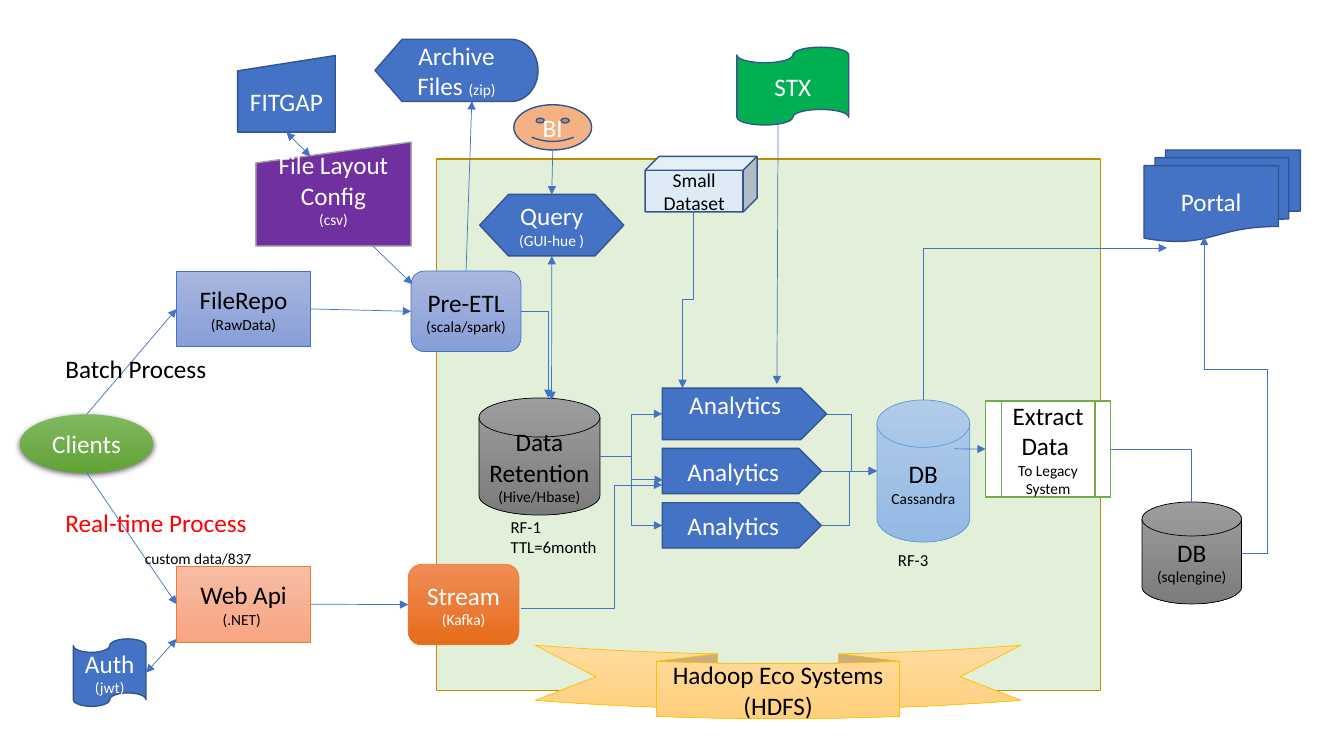
from lxml.etree import SubElement
from pptx import Presentation
from pptx.dml.color import RGBColor as RGB
from pptx.enum.shapes import MSO_CONNECTOR as MC, MSO_SHAPE as MS
from pptx.enum.text import MSO_ANCHOR, PP_ALIGN
from pptx.oxml.ns import qn
from pptx.util import Cm, Pt

WHITE, BLACK, RED = RGB(255, 255, 255), RGB(0, 0, 0), RGB(255, 0, 0)
BLUE, NAVY, PURPLE = RGB(0x44, 0x72, 0xC4), RGB(0x32, 0x54, 0x91), RGB(0x70, 0x30, 0xA0)
GREY, GREEN, LIME = RGB(0xA5, 0xA5, 0xA5), RGB(0, 0xB0, 0x50), RGB(0x70, 0xAD, 0x47)
MINT, OCHRE, PEACH = RGB(0xE2, 0xF0, 0xD9), RGB(0xBD, 0x8E, 0), RGB(0xF4, 0xB1, 0x83)
ORANGE, AMBER = RGB(0xED, 0x7D, 0x31), RGB(0xFF, 0xC0, 0)
SKY, ICE = RGB(0x5B, 0x9B, 0xD5), RGB(0xDE, 0xEB, 0xF7)
LEAF_GRAD = [RGB(0x81, 0xB8, 0x61), RGB(0x62, 0xA3, 0x36)]
BLUE_GRAD = [RGB(0xA8, 0xB7, 0xDF), RGB(0x88, 0x9E, 0xD7)]
SALMON_GRAD = [RGB(0xF7, 0xBD, 0xA5), RGB(0xF8, 0xA5, 0x82)]
ORANGE_GRAD = [RGB(0xF1, 0x8C, 0x57), RGB(0xE5, 0x6C, 0x19)]
GREY_GRAD = [RGB(0x9D, 0x9D, 0x9D), RGB(0x7C, 0x7C, 0x7C)]
SKY_GRAD = [RGB(0xB1, 0xCB, 0xE9), RGB(0x93, 0xB9, 0xE4)]
GOLD_GRAD = [RGB(0xFF, 0xDB, 0x9E), RGB(0xFF, 0xD0, 0x7C)]

STYLES = {
    "client": (LEAF_GRAD, None, WHITE),
    "batch": (BLUE_GRAD, BLUE, BLACK),
    "api": (SALMON_GRAD, ORANGE, BLACK),
    "stream": (ORANGE_GRAD, ORANGE, WHITE),
    "store": (GREY_GRAD, BLACK, BLACK),
    "db": (SKY_GRAD, SKY, BLACK),
    "banner": (GOLD_GRAD, AMBER, BLACK),
    "panel": (MINT, OCHRE, BLACK),
    "solid": (BLUE, NAVY, WHITE),
    "config": (PURPLE, GREY, WHITE),
    "stats": (GREEN, NAVY, WHITE),
    "extract": (WHITE, LIME, BLACK),
    "face": (PEACH, NAVY, WHITE),
    "dataset": (ICE, NAVY, BLACK),
}

NODES = {
    "panel": (MS.RECTANGLE, "panel", (11, 4.01, 16.74, 13.39), ""),
    "clients": (MS.OVAL, "client", (0.51, 10.44, 3.35, 1.47), "Clients"),
    "repo": (MS.RECTANGLE, "batch", (4.45, 6.83, 3.38, 1.91), "FileRepo\n|(RawData)"),
    "api": (MS.RECTANGLE, "api", (4.45, 14.27, 3.38, 1.91), "Web Api\n|(.NET) "),
    "etl": (MS.ROUNDED_RECTANGLE, "batch", (10.36, 6.83, 2.77, 2.03), "Pre-ETL\n|(scala/spark)"),
    "stream": (MS.ROUNDED_RECTANGLE, "stream", (10.29, 14.22, 2.79, 2.03), "Stream\n|(Kafka)"),
    "retention": (MS.FLOWCHART_MAGNETIC_DISK, "store", (12.07, 10.03, 3.05, 2.95),
                  "Data Retention\n|(Hive/Hbase)"),
    "analytics1": (MS.PENTAGON, "solid", (16.69, 9.78, 4.14, 1.3), "Analytics "),
    "analytics2": (MS.PENTAGON, "solid", (16.69, 11.3, 4.01, 1.14), "Analytics "),
    "analytics3": (MS.PENTAGON, "solid", (16.69, 12.67, 4.01, 1.14), "Analytics "),
    "config": (MS.FLOWCHART_MANUAL_INPUT, "config", (6.45, 3.58, 3.91, 2.62),
               "File Layout\nConfig\n|(csv)"),
    "stats": (MS.FLOWCHART_PUNCHED_TAPE, "stats", (18.57, 1.19, 2.82, 1.96), "STX"),
    "db": (MS.FLOWCHART_MAGNETIC_DISK, "db", (22.1, 10.08, 2.34, 3.58), "DB\n|Cassandra"),
    "extract": (MS.FLOWCHART_PREDEFINED_PROCESS, "extract", (24.84, 10.11, 3.15, 2.41),
                "Extract\nData \n|To Legacy System"),
    "legacy": (MS.FLOWCHART_MAGNETIC_DISK, "store", (28.78, 12.65, 2.51, 2.57), "DB\n|(sqlengine)"),
    "portal": (MS.FLOWCHART_MULTIDOCUMENT, "solid", (28.83, 3.78, 3.94, 2.31), "Portal"),
    "banner": (MS.CURVED_DOWN_RIBBON, "banner", (13.49, 16.26, 12.24, 1.85),
               "Hadoop Eco Systems\n(HDFS)"),
    "query": (MS.FLOWCHART_PREPARATION, "solid", (12.09, 4.9, 3.63, 1.55), "Query\n|(GUI-hue )"),
    "bi": (MS.SMILEY_FACE, "face", (12.95, 2.64, 1.96, 1.14), "BI"),
    "auth": (MS.FLOWCHART_PUNCHED_TAPE, "solid", (1.85, 16.1, 1.83, 1.7), "Auth\n|(jwt)"),
    "archive": (MS.FLOWCHART_DISPLAY, "solid", (9.45, 0.99, 4.11, 1.57), "Archive\nFiles |(zip)"),
    "dataset": (MS.CUBE, "dataset", (16.26, 3.94, 2.82, 1.4), "Small\nDataset"),
    "fitgap": (MS.FLOWCHART_MANUAL_INPUT, "solid", (5.99, 1.4, 2.46, 1.93), "FITGAP"),
}
SIZES = {"dataset": 14}
BOTTOM_MARGINS = {"config": 0.9, "analytics1": 0.6}

STRAIGHT = [
    ("clients.t", "repo.l"), ("clients.b", "api.l"), ("repo.r", "etl.l"),
    ((9.4, 6.2), (10.39, 7.16)), ("api.r", "stream.l"), ((19.61, 2.72), (19.58, 9.68)),
    ((24.05, 11.31), "extract.l"), ("bi.b", "query.t"), ("etl.t", (11.89, 2.55)),
]
TWO_WAY = [("query.b", (13.9, 10.08)), ("auth.r", (4.45, 16.1)), ("fitgap.b", (7.82, 3.94))]
ELBOWS = [
    ((13.13, 15.34), (16.69, 12.22), 3, [0.66]),
    ("etl.r", (13.82, 10.03), 2),
    ("db.t", (29.41, 6.25), 2, [], "down"),
    ("legacy.r", (30.35, 5.97), 4, [-0.68, 0.58]),
    ((17.48, 5.33), (17.2, 9.78), 3, [0.5], "down"),
    ("retention.r", "analytics1.l", 3, [0.5]),
    ("retention.r", (16.71, 12.09), 3, [0.5]),
    ("retention.r", "analytics3.l", 3, [0.5]),
] + [(f"analytics{n}.r", "db.l", 3, [0.5]) for n in (1, 2, 3)]
PLAIN_ELBOW = ("extract.r", "legacy.t", 2)

LABELS = [
    ("Batch Process", (1.4, 8.79, 4.09, 1.02), 18, BLACK),
    ("Real-time Process", (1.4, 12.67, 5.13, 1.02), 18, RED),
    ("RF-1\nTTL=6month", (12.62, 12.9, 2.69, 1.27), 12, BLACK),
    ("RF-3", (22.38, 13.74, 1.3, 0.76), 12, BLACK),
    ("custom data/837 ", (3.4, 13.72, 3.4, 0.74), 11, BLACK),
]

prs = Presentation()
prs.slide_width, prs.slide_height = Cm(33.87), Cm(19.05)
s = prs.slides.add_slide(prs.slide_layouts[6])


def write(tf, text, size, color, align):
    for i, line in enumerate(text.split("\n")):
        p = tf.paragraphs[0] if i == 0 else tf.add_paragraph()
        p.alignment = align
        for j, part in enumerate(line.split("|")):
            if part:
                r = p.add_run()
                r.text = part
                r.font.color.rgb = color
                for key, value in {"name": "Calibri", "size": Pt(11 if j else size)}.items():
                    setattr(r.font, key, value)


def add_node(name, kind, style, box, text):
    fill, line, color = STYLES[style]
    shaded = isinstance(fill, list)
    sp = s.shapes.add_shape(kind, *map(Cm, box))
    sp.shadow.inherit = False
    if shaded:
        sp.fill.gradient()
        sp.fill.gradient_angle = 270
        for stop, rgb in zip(sp.fill.gradient_stops, fill):
            stop.color.rgb = rgb
    else:
        sp.fill.solid()
        sp.fill.fore_color.rgb = fill
    if line is None:
        sp.line.fill.background()
    else:
        sp.line.color.rgb = line
        sp.line.width = Pt(0.5 if shaded else 1)
    tf = sp.text_frame
    fmt = {"word_wrap": True, "vertical_anchor": MSO_ANCHOR.MIDDLE,
           "margin_bottom": Cm(BOTTOM_MARGINS.get(name, 0.13))}
    for key, value in fmt.items():
        setattr(tf, key, value)
    write(tf, text, SIZES.get(name, 18), color, PP_ALIGN.CENTER)
    return sp


def point(ref):
    if isinstance(ref, tuple):
        return ref
    name, side = ref.split(".")
    x, y, w, h = NODES[name][2]
    return {"l": (x, y + h / 2), "r": (x + w, y + h / 2),
            "t": (x + w / 2, y), "b": (x + w / 2, y + h)}[side]


def add_link(start, end, bends=0, adj=(), way="across", heads=("tailEnd",)):
    (x1, y1), (x2, y2) = point(start), point(end)
    if way == "down":
        cx, cy, dx, dy = (x1 + x2) / 2, (y1 + y2) / 2, (x2 - x1) / 2, (y2 - y1) / 2
        x1, y1, x2, y2 = cx - dy, cy + dx, cx + dy, cy - dx
    c = s.shapes.add_connector(MC.ELBOW if bends else MC.STRAIGHT, *map(Cm, (x1, y1, x2, y2)))
    c.line.color.rgb, c.line.width = BLUE, Pt(0.5)
    sp_pr = c._element.spPr
    if way == "down":
        sp_pr.find(qn("a:xfrm")).set("rot", "5400000")
    if bends:
        geom = sp_pr.find(qn("a:prstGeom"))
        geom.set("prst", f"bentConnector{bends}")
        for i, value in enumerate(adj, 1):
            SubElement(geom.find(qn("a:avLst")), qn("a:gd"), name=f"adj{i}",
                       fmla=f"val {round(value * 100000)}")
    for head in heads:
        SubElement(sp_pr.find(qn("a:ln")), qn("a:" + head), type="triangle")
    SubElement(sp_pr, qn("a:effectLst"))


shapes = {name: add_node(name, *node) for name, node in NODES.items()}
effects = shapes["clients"]._element.spPr.find(qn("a:effectLst"))
shadow = SubElement(effects, qn("a:outerShdw"), blurRad="57150", dist="19050", dir="5400000")
SubElement(SubElement(shadow, qn("a:srgbClr"), val="000000"), qn("a:alpha"), val="63000")

for link in STRAIGHT + ELBOWS:
    add_link(*link)
for link in TWO_WAY:
    add_link(*link, heads=("headEnd", "tailEnd"))
add_link(*PLAIN_ELBOW, heads=())

for text, box, size, color in LABELS:
    tf = s.shapes.add_textbox(*map(Cm, box)).text_frame
    tf.word_wrap = False
    write(tf, text, size, color, PP_ALIGN.LEFT)

prs.save("out.pptx")
